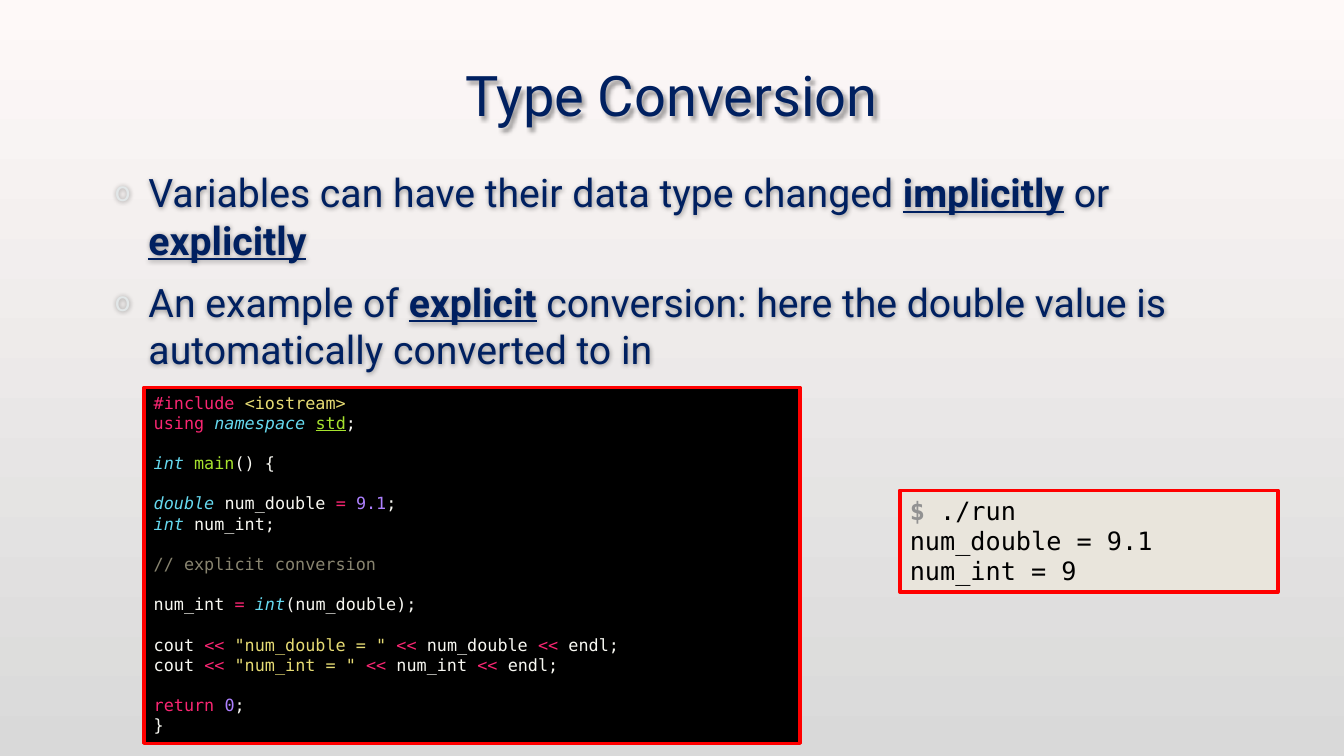
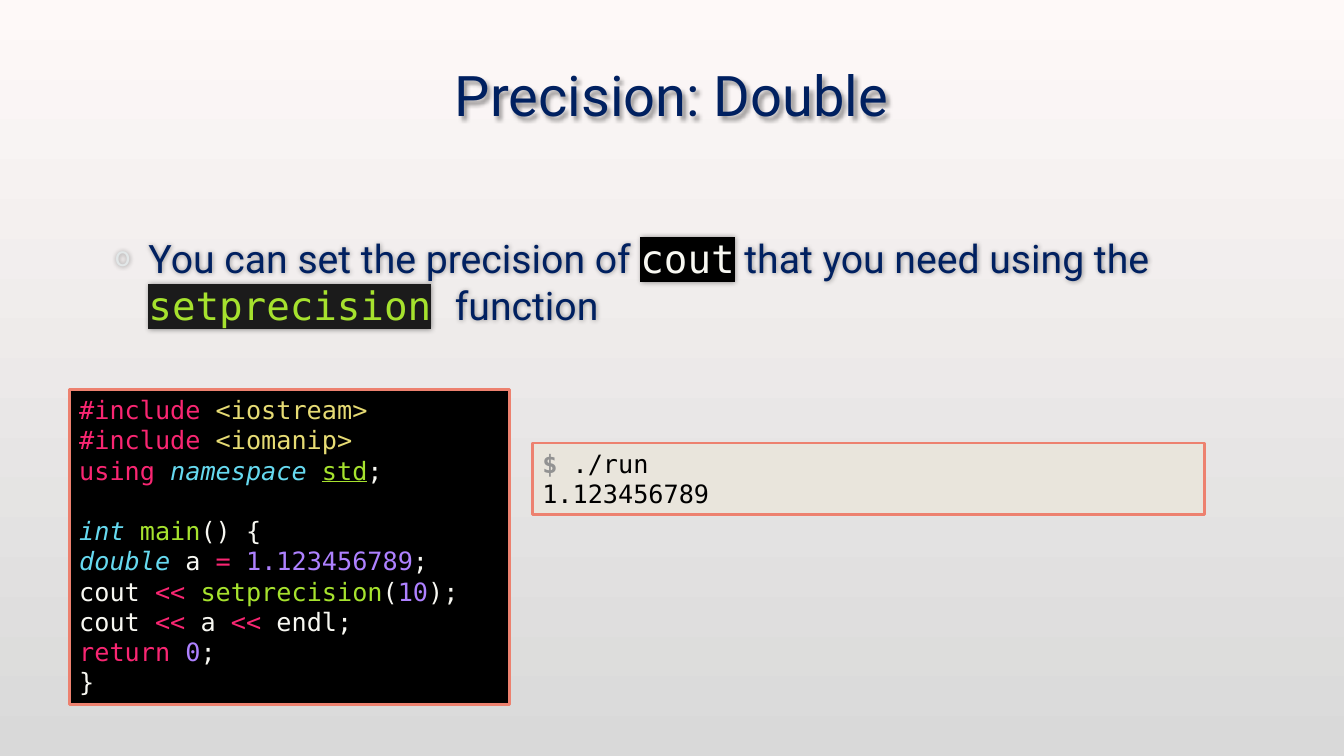
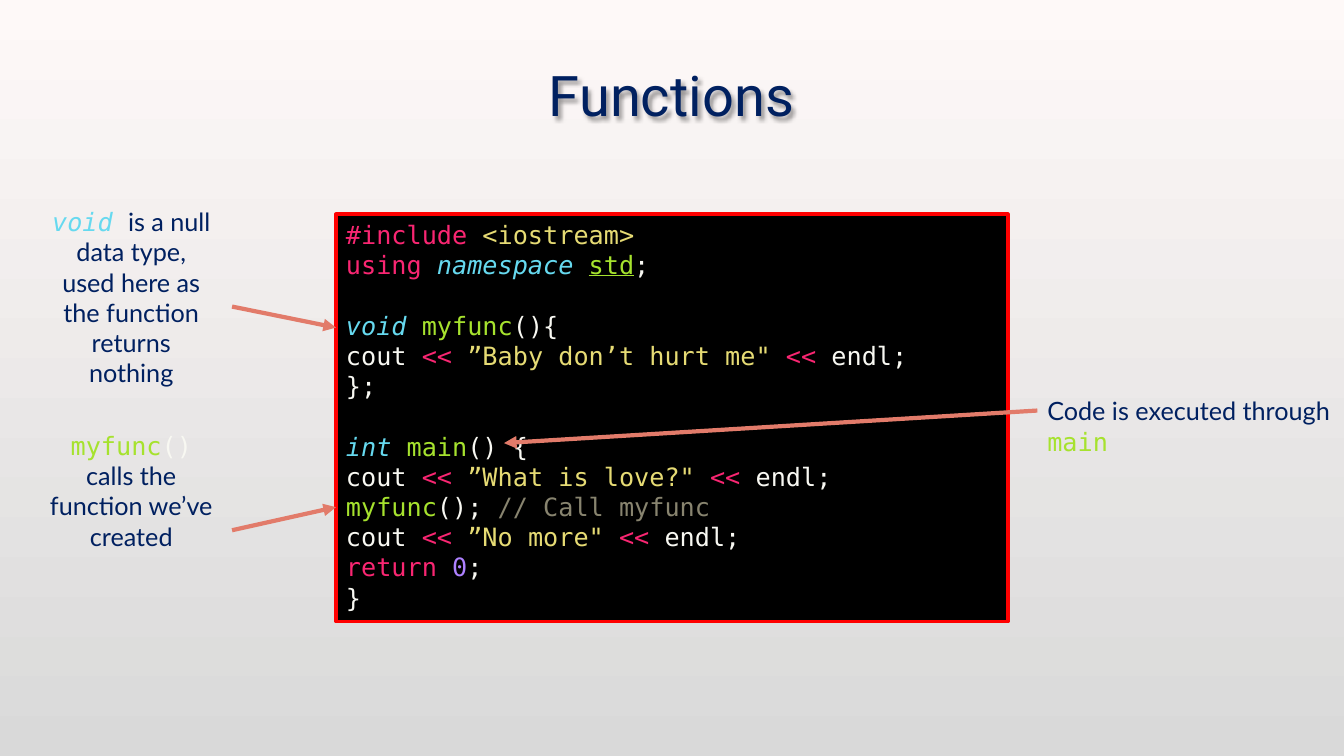
import lxml.etree
import pptx
import pptx.dml.color
import pptx.enum.dml
import pptx.enum.shapes
import pptx.enum.text
import pptx.oxml.ns
import pptx.util

PX = 9525
MONO, HEADING, CAPTION = "DejaVu Sans Mono", "Roboto", "Lato"
NAVY, RED, CORAL, ARROW = "002060", "FF0000", "ED816F", "E27B6A"
CODE_FILL, OUTPUT_FILL = "000000", "E9E5DC"
LEFT = pptx.enum.text.PP_ALIGN.LEFT
CENTER = pptx.enum.text.PP_ALIGN.CENTER
PROSE = "tb"
MARKS = {
    "t": {"color": NAVY},
    "b": {"color": NAVY, "bold": True, "underline": True},
    "f": {"color": "F8F8F2"},
    "k": {"color": "F92672"},
    "y": {"color": "66D9EF", "italic": True},
    "g": {"color": "A6E22E"},
    "u": {"color": "A6E22E", "underline": True},
    "s": {"color": "E6DB74"},
    "n": {"color": "AE81FF"},
    "r": {"color": "88846F"},
    "d": {"color": "929292", "bold": True},
    "x": {"color": "000000"},
    "c": {"color": "F8F8F2", "highlight": "000000"},
    "h": {"color": "A6E22E", "highlight": "1B1B1B"},
}

CONVERSION_CODE = """k#include `s<iostream>
kusing `ynamespace `ustd`f;

yint `gmain`f() {

ydouble `fnum_double `k= `n9.1`f;
yint `fnum_int;

r// explicit conversion

fnum_int `k= `yint`f(num_double);

fcout `k<< `s"num_double = " `k<< `fnum_double `k<< `fendl;
fcout `k<< `s"num_int = " `k<< `fnum_int `k<< `fendl;

kreturn `n0`f;
f}"""

PRECISION_CODE = """k#include `s<iostream>
k#include `s<iomanip>
kusing `ynamespace `ustd`f;

yint `gmain`f() {
ydouble`f a `k= `n1.123456789`f;
fcout `k<< `gsetprecision`f(`n10`f);
fcout `k<<`f a `k<< `fendl;
kreturn `n0`f;
f}"""

FUNCTIONS_CODE = """k#include `s<iostream>
kusing `ynamespace `ustd`f;

yvoid `gmyfunc`f(){
fcout `k<< `s”Baby don’t hurt me" `k<< `fendl;
f};

yint `gmain`f() {
fcout `k<< `s”What is love?" `k<< `fendl;
gmyfunc`f();`r // Call myfunc
fcout `k<< `s”No more" `k<< `fendl;
kreturn `n0`f;
f}"""


def rgb(value):
    return pptx.dml.color.RGBColor.from_string(value)


def px(*lengths):
    return [pptx.util.Emu(length * PX) for length in lengths]


def add_xml(parent, tag, **attributes):
    child = lxml.etree.SubElement(parent, pptx.oxml.ns.qn(tag))
    for name, value in attributes.items():
        child.set(name, str(value))
    return child


class Deck:
    def __init__(self):
        self.deck = pptx.Presentation()
        self.deck.slide_width, self.deck.slide_height = px(1280, 720)
        backdrop = self.deck.slide_master.background.fill
        backdrop.gradient()
        backdrop.gradient_angle = 270
        for stop, color in zip(backdrop.gradient_stops, ("FEF9F8", "D9D9D9")):
            stop.color.rgb = rgb(color)

    def new_slide(self, heading):
        self.slide = self.deck.slides.add_slide(self.deck.slide_layouts[5])
        title = self.slide.shapes.title
        title.left, title.top, title.width, title.height = px(96, 24, 1087, 132)
        frame = title.text_frame
        frame.text = heading
        frame.word_wrap = True
        frame.auto_size = pptx.enum.text.MSO_AUTO_SIZE.NONE
        frame.vertical_anchor = pptx.enum.text.MSO_ANCHOR.MIDDLE
        paragraph = frame.paragraphs[0]
        paragraph.alignment = CENTER
        self.set_font(paragraph, HEADING, 40)
        paragraph.font.color.rgb = rgb(NAVY)
        self.soft_shadow(title, 3)

    def set_font(self, paragraph, font, size):
        paragraph.font.name = font
        paragraph.font.size = pptx.util.Pt(size)

    def soft_shadow(self, shape, distance):
        effects = add_xml(shape._element.spPr, "a:effectLst")
        shadow = add_xml(effects, "a:outerShdw", blurRad=4 * PX, dist=distance * PX,
                         dir=2700000, algn="tl", rotWithShape=0)
        add_xml(add_xml(shadow, "a:srgbClr", val="000000"), "a:alpha", val=40000)

    def add_run(self, paragraph, text, mark, font):
        style = MARKS[mark]
        run = paragraph.add_run()
        run.text = text
        run.font.color.rgb = rgb(style["color"])
        run.font.bold = style.get("bold")
        run.font.italic = style.get("italic")
        run.font.underline = style.get("underline")
        if font != MONO and mark not in PROSE:
            run.font.name = MONO
        if "highlight" in style:
            properties = run._r.get_or_add_rPr()
            highlight = add_xml(properties, "a:highlight")
            add_xml(highlight, "a:srgbClr", val=style["highlight"])
            properties.find(pptx.oxml.ns.qn("a:latin")).addprevious(highlight)

    def fill_text(self, frame, text, font, size, align=LEFT, bulleted=False):
        frame.word_wrap = True
        frame.vertical_anchor = pptx.enum.text.MSO_ANCHOR.TOP
        paragraph, gap = frame.paragraphs[0], False
        for number, line in enumerate(text.split("\n")):
            if not line:
                gap = True
                continue
            if number:
                paragraph = frame.add_paragraph()
            paragraph.alignment = align
            if bulleted:
                self.add_bullet(paragraph)
            if gap:
                paragraph.space_before = pptx.util.Pt(1.2 * size)
                gap = False
            self.set_font(paragraph, font, size)
            for part in line.split("`"):
                self.add_run(paragraph, part[1:], part[0], font)

    def add_bullet(self, paragraph):
        properties = paragraph._p.get_or_add_pPr()
        properties.set("marL", str(36 * PX))
        properties.set("indent", str(-32 * PX))
        add_xml(add_xml(properties, "a:buClr"), "a:srgbClr", val="E2E7E8")
        add_xml(properties, "a:buSzPct", val=70000)
        add_xml(properties, "a:buFont", typeface=HEADING)
        add_xml(properties, "a:buChar", char="o")
        paragraph.space_after = pptx.util.Pt(11)

    def bullets(self, top, text):
        body = self.slide.shapes.add_textbox(*px(96, top, 1087, 390))
        self.fill_text(body.text_frame, text, HEADING, 28, bulleted=True)
        self.soft_shadow(body, 1)

    def panel(self, box, text, fill, border, border_width, size=18):
        panel = self.slide.shapes.add_shape(
            pptx.enum.shapes.MSO_SHAPE.RECTANGLE, *px(*box))
        panel.shadow.inherit = False
        panel.fill.solid()
        panel.fill.fore_color.rgb = rgb(fill)
        panel.line.color.rgb = rgb(border)
        panel.line.width = pptx.util.Pt(border_width)
        self.fill_text(panel.text_frame, text, MONO, size)

    def caption(self, box, text, align=CENTER):
        caption = self.slide.shapes.add_textbox(*px(*box))
        self.fill_text(caption.text_frame, text, CAPTION, 18, align)

    def arrow(self, *ends):
        arrow = self.slide.shapes.add_connector(
            pptx.enum.shapes.MSO_CONNECTOR.STRAIGHT, *px(*ends))
        arrow.line.color.rgb = rgb(ARROW)
        arrow.line.width = pptx.util.Pt(3)
        add_xml(arrow.line._get_or_add_ln(), "a:tailEnd", type="triangle")
        add_xml(arrow._element.spPr, "a:effectLst")


def main():
    deck = Deck()

    deck.new_slide("Type Conversion")
    deck.bullets(156, "tVariables can have their data type changed `bimplicitly`t or `bexplicitly\n"
                 "tAn example of `bexplicit`t conversion: here the double value is "
                 "automatically converted to in")
    deck.panel((857, 467, 360, 97), "d$ `x./run\nxnum_double = 9.1\nxnum_int = 9",
               OUTPUT_FILL, RED, 2.5)
    deck.panel((137, 369, 625, 339), CONVERSION_CODE, CODE_FILL, RED, 2.5, size=12)

    deck.new_slide("Precision: Double")
    deck.bullets(218, "tYou can set the precision of `ccout`t that you need using the "
                 "`hsetprecision`f `tfunction")
    deck.panel((66, 371, 419, 300), PRECISION_CODE, CODE_FILL, CORAL, 2)
    deck.panel((507, 422, 640, 68), "d$ `x./run\nx1.123456789", OUTPUT_FILL, CORAL, 2)

    deck.new_slide("Functions")
    deck.panel((320, 204, 640, 388), FUNCTIONS_CODE, CODE_FILL, RED, 2.5)
    deck.caption((37, 192, 176, 156),
                 "yvoid `tis a null data type, used here as the function returns nothing")
    deck.caption((37, 405, 176, 126), "gmyfunc`f() `tcalls the function we’ve created")
    deck.caption((988, 372, 292, 68), "tCode is executed through\ngmain", LEFT)
    deck.arrow(221, 292, 320, 312)
    deck.arrow(221, 505, 320, 483)
    deck.arrow(988, 391, 480, 422)

    deck.deck.save("out.pptx")


if __name__ == "__main__":
    main()
